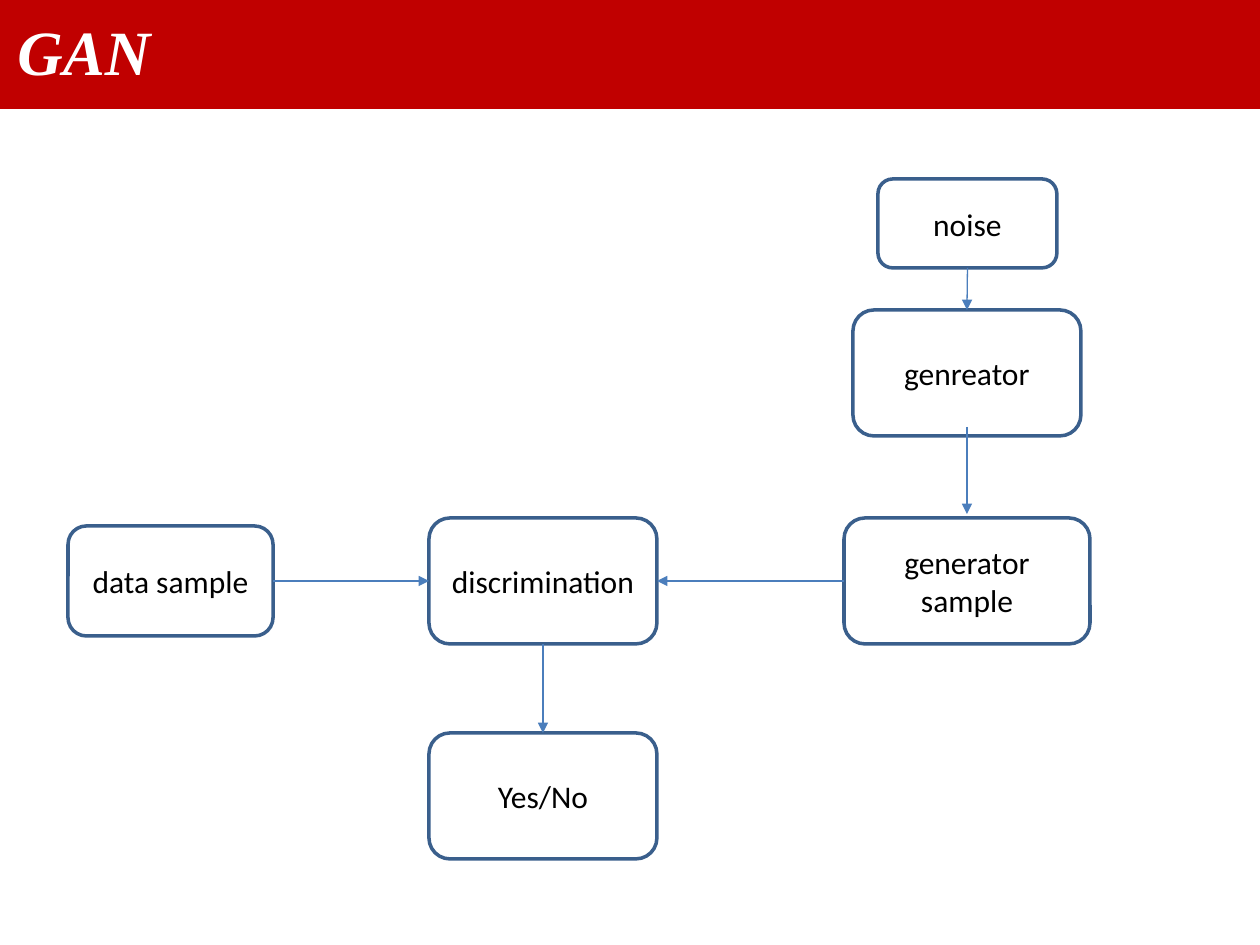
from dataclasses import dataclass

from lxml import etree
from pptx import Presentation
from pptx.dml.color import RGBColor
from pptx.enum.shapes import MSO_CONNECTOR, MSO_SHAPE
from pptx.enum.text import MSO_ANCHOR, PP_ALIGN
from pptx.oxml.ns import qn
from pptx.util import Emu, Pt

ROUND = MSO_SHAPE.ROUNDED_RECTANGLE
BAND = MSO_SHAPE.FLOWCHART_PROCESS
LINE = MSO_CONNECTOR.STRAIGHT
MID = MSO_ANCHOR.MIDDLE
LEFT, CENTER = PP_ALIGN.LEFT, PP_ALIGN.CENTER
TOP, WEST, BASE, EAST = range(4)  # connection sites of a box

PX = 914400 / 126
COLORS = {"band": "C00000", "title": "FFFFFF", "text": "000000",
          "edge": "3A5F8C", "arrow": "4B7EBC"}


@dataclass
class Box:
    text: str
    x: int
    y: int
    w: int
    h: int


@dataclass
class Link:
    start: str
    out: int
    end: str
    into: int


BOXES = [
    Box("noise", 878, 179, 179, 89),
    Box("generator sample", 844, 518, 246, 126),
    Box("data sample", 68, 526, 205, 110),
    Box("discrimination", 429, 518, 228, 126),
    Box("genreator", 853, 310, 228, 126),
    Box("Yes/No", 429, 733, 228, 126),
]
LINKS = [
    Link("noise", BASE, "genreator", TOP),
    Link("data sample", EAST, "discrimination", WEST),
    Link("generator sample", WEST, "discrimination", EAST),
    Link("discrimination", BASE, "Yes/No", TOP),
]


def px(n: int) -> Emu:
    return Emu(round(n * PX))


def color(name: str) -> RGBColor:
    return RGBColor.from_string(COLORS[name])


def write(frame, text: str, size: int, face: str, tint: str, align):
    """Put one run in the frame and return its font."""
    frame.word_wrap = True
    frame.vertical_anchor = MID
    para = frame.paragraphs[0]
    para.alignment = align
    run = para.add_run()
    run.text = text
    font = run.font
    font.size, font.name = Pt(size), face
    font.color.rgb = color(tint)
    return font


def add_head(slide, width: int) -> None:
    band = slide.shapes.add_shape(BAND, 0, 0, px(width), px(109))
    band.shadow.inherit = False
    band.fill.solid()
    band.fill.fore_color.rgb = color("band")
    band.line.fill.background()
    frame = slide.shapes.add_textbox(px(5), 0, px(width - 5), px(106)).text_frame
    frame.margin_bottom = px(12)
    font = write(frame, "GAN", 36, "Times New Roman", "title", LEFT)
    font.bold = font.italic = True


def add_box(slide, box: Box):
    shape = slide.shapes.add_shape(ROUND, px(box.x), px(box.y), px(box.w), px(box.h))
    shape.shadow.inherit = False
    shape.fill.background()
    shape.line.color.rgb = color("edge")
    shape.line.width = Pt(2)
    write(shape.text_frame, box.text, 18, "Calibri", "text", CENTER)
    return shape


def add_arrow(slide, x1: int = 0, y1: int = 0, x2: int = 0, y2: int = 0):
    arrow = slide.shapes.add_connector(LINE, px(x1), px(y1), px(x2), px(y2))
    arrow.line.color.rgb = color("arrow")
    arrow.line.width = Pt(0.75)
    props = arrow.line._get_or_add_ln()
    etree.SubElement(props, qn("a:tailEnd"), type="triangle")
    etree.SubElement(arrow._element.spPr, qn("a:effectLst"))
    return arrow


def main() -> None:
    deck = Presentation()
    deck.slide_width, deck.slide_height = px(1260), px(945)
    slide = deck.slides.add_slide(deck.slide_layouts[6])
    add_head(slide, 1260)
    shapes = {box.text: add_box(slide, box) for box in BOXES}
    for link in LINKS:
        arrow = add_arrow(slide)
        arrow.begin_connect(shapes[link.start], link.out)
        arrow.end_connect(shapes[link.end], link.into)
    add_arrow(slide, 967, 427, 967, 514)
    deck.save("out.pptx")


if __name__ == "__main__":
    main()
